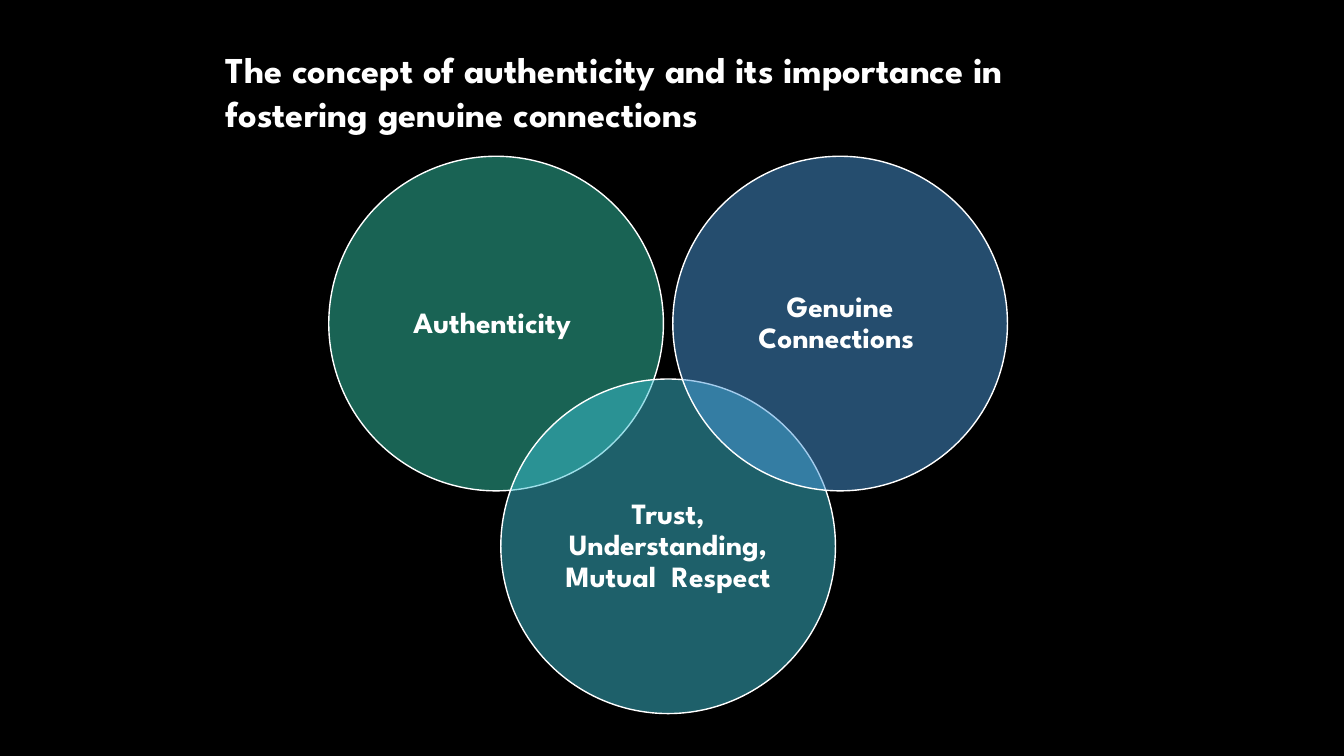
import pptx
import pptx.dml.color
import pptx.enum.shapes
import pptx.enum.text
import pptx.oxml
import pptx.oxml.ns
import pptx.util

COLORS = {
    "background": "000000",
    "white": "FFFFFF",
    "green": "32C7A9",
    "teal": "3CC1D4",
    "blue": "4A9BDC",
}


def rgb(name):
    return pptx.dml.color.RGBColor.from_string(COLORS[name])


class VennSlide:
    """Style and current slide; lengths are percentages of the slide's size."""

    font = "League Spartan"

    def __init__(self, prs):
        self.width, self.height = prs.slide_width, prs.slide_height
        self.slide = prs.slides.add_slide(prs.slide_layouts[5])
        fill = self.slide.background.fill
        fill.solid()
        fill.fore_color.rgb = rgb("background")

    def x(self, share):
        return round(self.width * share / 100)

    def y(self, share):
        return round(self.height * share / 100)

    def label(self, sp, text, size, align, anchor, spacing):
        tf = sp.text_frame
        tf.text = text
        tf.word_wrap = True
        tf.auto_size = pptx.enum.text.MSO_AUTO_SIZE.NONE
        tf.vertical_anchor = anchor
        p = tf.paragraphs[0]
        p.alignment = align
        p.line_spacing = spacing
        for r in p.runs:
            r.font.name = self.font
            r.font.size = pptx.util.Pt(size)
            r.font.bold = True
            r.font.color.rgb = rgb("white")

    def title(self, text, left, top, width, height):
        sp = self.slide.shapes.title
        sp.left, sp.top = self.x(left), self.y(top)
        sp.width, sp.height = self.x(width), self.y(height)
        self.label(sp, text, 26, pptx.enum.text.PP_ALIGN.LEFT,
                   pptx.enum.text.MSO_ANCHOR.TOP, 1.0)

    def circle(self, text, color, left, top, diameter):
        side = self.x(diameter)
        sp = self.slide.shapes.add_shape(
            pptx.enum.shapes.MSO_SHAPE.OVAL, self.x(left), self.y(top), side, side)
        sp.shadow.inherit = False
        sp.fill.solid()
        sp.fill.fore_color.rgb = rgb(color)
        # Half transparent, so that overlaps show
        srgb = sp.element.spPr.find(".//" + pptx.oxml.ns.qn("a:srgbClr"))
        srgb.append(pptx.oxml.parse_xml(
            f'<a:alpha {pptx.oxml.ns.nsdecls("a")} val="50000"/>'))
        sp.line.color.rgb = rgb("white")
        sp.line.width = pptx.util.Pt(1)
        tf = sp.text_frame
        tf.margin_left = tf.margin_right = pptx.util.Inches(0.09)
        tf.margin_top = tf.margin_bottom = pptx.util.Inches(0.09)
        self.label(sp, text, 21, pptx.enum.text.PP_ALIGN.CENTER,
                   pptx.enum.text.MSO_ANCHOR.MIDDLE, 0.9)


def main():
    prs = pptx.Presentation()
    prs.slide_width = pptx.util.Inches(13.33)
    prs.slide_height = pptx.util.Inches(7.5)
    s = VennSlide(prs)

    # Title
    s.title("The concept of authenticity and its importance in fostering "
            "genuine connections", 16.05, 5.6, 70.67, 13.07)

    # Three circles at equal steps, the middle one lowered
    left, step, diameter = 24.46, 12.8, 24.9
    upper, lower = 20.67, 50.13
    circles = [
        ("Authenticity ", "green", upper),
        ("Trust, Understanding, Mutual  Respect", "teal", lower),
        ("Genuine Connections ", "blue", upper),
    ]
    for i, (text, color, top) in enumerate(circles):
        s.circle(text, color, left + i * step, top, diameter)

    prs.save("out.pptx")


if __name__ == "__main__":
    main()
